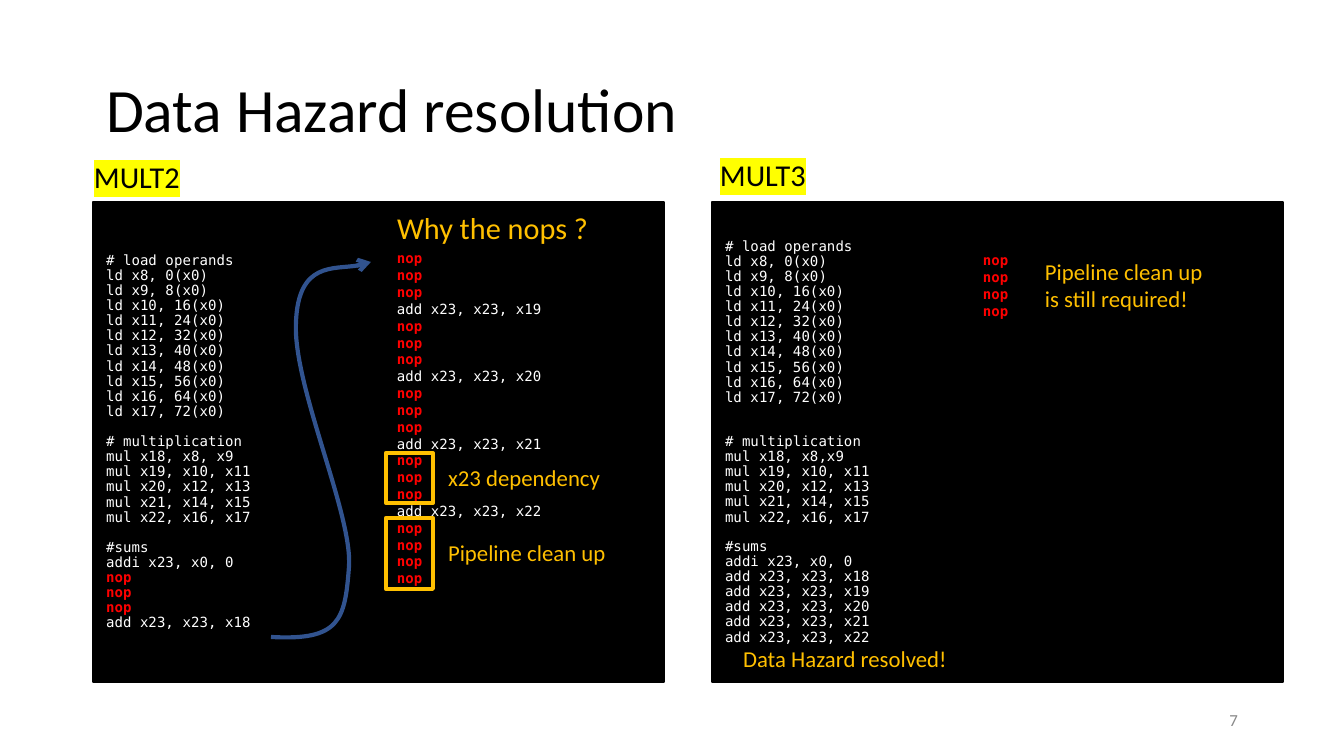
"""Build the data hazard resolution slide comparing two code versions."""
from lxml import etree
from pptx import Presentation
from pptx.dml.color import RGBColor
from pptx.enum.shapes import MSO_SHAPE
from pptx.enum.text import MSO_ANCHOR, MSO_AUTO_SIZE, PP_ALIGN
from pptx.oxml.ns import qn
from pptx.util import Pt

SCALE = 914400 / 134.4
RECTANGLE = MSO_SHAPE.RECTANGLE
TOP, MIDDLE = MSO_ANCHOR.TOP, MSO_ANCHOR.MIDDLE
LEFT, RIGHT = PP_ALIGN.LEFT, PP_ALIGN.RIGHT
NO_AUTOFIT = MSO_AUTO_SIZE.NONE
BLACK, WHITE, RED, GOLD = "000000", "FFFFFF", "FF0000", "FFC000"
CODE_FONT = "DejaVu Sans Mono"


def px(*lengths):
    return [round(length * SCALE) for length in lengths]


def write(box, text, size=7.5, font=CODE_FONT, color=WHITE, align=LEFT, anchor=TOP,
          spacing=1.0, gaps=(), top=7, highlight=None):
    frame = box.text_frame
    frame.word_wrap, frame.auto_size, frame.vertical_anchor = True, NO_AUTOFIT, anchor
    frame.margin_left, frame.margin_right, frame.margin_top, frame.margin_bottom = px(13, 13, top, 7)
    for index, block in enumerate(text.split("\n\n")):
        para = frame.add_paragraph() if index else frame.paragraphs[0]
        para.alignment, para.line_spacing = align, spacing
        para.space_before = Pt(gaps[index - 1] if index and gaps else 0)
        properties = para._p.get_or_add_pPr()
        properties.set("marL", "0")
        properties.set("indent", "0")
        etree.SubElement(properties, qn("a:buNone"))
        for number, line in enumerate(block.split("\n")):
            if number:
                para.add_line_break()
            span = para.add_run()
            span.text = line
            span.font.size, span.font.name = Pt(size), font
            span.font.bold = line == "nop"
            span.font.color.rgb = RGBColor.from_string(RED if line == "nop" else color)
            if highlight:
                mark = etree.Element(qn("a:highlight"))
                etree.SubElement(mark, qn("a:srgbClr"), val=highlight)
                span._r.rPr.find(qn("a:solidFill")).addnext(mark)


deck = Presentation()
deck.slide_width, deck.slide_height = px(1344, 756)
page = deck.slides.add_slide(deck.slide_layouts[1])
shapes = page.shapes

title = shapes.title
title.left, title.top, title.width, title.height = px(93, 40, 1159, 146)
write(title, "Data Hazard resolution", size=33, font="Calibri", color=BLACK,
      anchor=MIDDLE, spacing=0.9)

loads = "\n".join(["# load operands"] + [f"ld x{8 + i}, {8 * i}(x0)" for i in range(10)])
products = "\n".join(f"mul x{19 + i}, x{10 + 2 * i}, x{11 + 2 * i}" for i in range(4))
sums = [f"add x23, x23, x{register}" for register in range(18, 23)]
stall = ["nop"] * 3

mult2_code = "\n\n".join([
    loads,
    "# multiplication\nmul x18, x8, x9\n" + products,
    "\n".join(["#sums", "addi x23, x0, 0"] + stall + sums[:1]),
])
mult3_code = "\n\n".join([
    loads,
    "# multiplication\nmul x18, x8,x9\n" + products,
    "\n".join(["#sums", "addi x23, x0, 0"] + sums),
])
stalled_sums = "\n\n".join([line for add in sums[1:] for line in stall + [add]] + ["nop"] * 4)

mult2_panel = page.placeholders[1]
mult2_panel.left, mult2_panel.top, mult2_panel.width, mult2_panel.height = px(93, 202, 571, 480)
mult2_column = shapes.add_shape(RECTANGLE, *px(384, 226, 231, 430))
mult3_panel = shapes.add_shape(RECTANGLE, *px(712, 202, 571, 480))
mult3_column = shapes.add_shape(RECTANGLE, *px(970, 245, 231, 430))

for panel, code, layout in [
    (mult2_panel, mult2_code, dict(anchor=MIDDLE, spacing=0.9, gaps=(8, 8))),
    (mult2_column, stalled_sums, dict(top=24)),
    (mult3_panel, mult3_code, dict(anchor=MIDDLE, spacing=0.9, gaps=(15.5, 7.5))),
    (mult3_column, "\n\n".join(["nop"] * 4), {}),
]:
    panel.fill.solid()
    panel.fill.fore_color.rgb = RGBColor.from_string(BLACK)
    panel.line.color.rgb = RGBColor.from_string(BLACK)
    panel.line.width = Pt(1)
    if not panel.is_placeholder:
        panel.shadow.inherit = False
    write(panel, code, **layout)

curves = [
    [(340, 641), (345, 620), (349, 567)],
    [(353, 515), (293, 386), (296, 323)],
    [(298, 261), (351, 271), (371, 262)],
]
builder = shapes.build_freeform(271, 637, scale=SCALE)
builder.add_line_segments([curve[-1] for curve in curves], close=False)
flow_arrow = builder.convert_to_shape()
for segment, curve in zip(list(flow_arrow._element.iter(qn("a:lnTo"))), curves):
    bezier = etree.Element(qn("a:cubicBezTo"))
    for x, y in curve:
        etree.SubElement(bezier, qn("a:pt"), x=str(x - 271), y=str(y - 262))
    segment.getparent().replace(segment, bezier)
flow_arrow.fill.background()
flow_arrow.shadow.inherit = False
flow_arrow.line.color.rgb = RGBColor.from_string("31538F")
flow_arrow.line.width = Pt(2.25)
etree.SubElement(flow_arrow.line._get_or_add_ln(), qn("a:tailEnd"), type="arrow")

for top, height in [(453, 50), (518, 71)]:
    frame_box = shapes.add_shape(RECTANGLE, *px(386, top, 47, height))
    frame_box.fill.background()
    frame_box.line.color.rgb = RGBColor.from_string(GOLD)
    frame_box.line.width = Pt(2.25)
    frame_box.shadow.inherit = False

heading = dict(size=16.2, color=BLACK, highlight="FFFF00")
note = dict(size=12.2, color=GOLD)
for text, place, style in [
    ("MULT2", (81, 151, 145, 50), heading),
    ("MULT3", (707, 149, 132, 50), heading),
    ("Why the nops ?", (384, 202, 219, 50), dict(size=16.2, color=GOLD)),
    ("x23 dependency", (435, 457, 219, 42), note),
    ("Pipeline clean up", (435, 532, 219, 42), note),
    ("Data Hazard resolved!", (730, 638, 241, 42), note),
    ("Pipeline clean up is still required!", (1032, 251, 196, 69), note),
    ("7", (949, 700, 302, 40), dict(size=9, color="888888", align=RIGHT, anchor=MIDDLE)),
]:
    write(shapes.add_textbox(*px(*place)), text, font="Calibri", **style)

deck.save("out.pptx")
